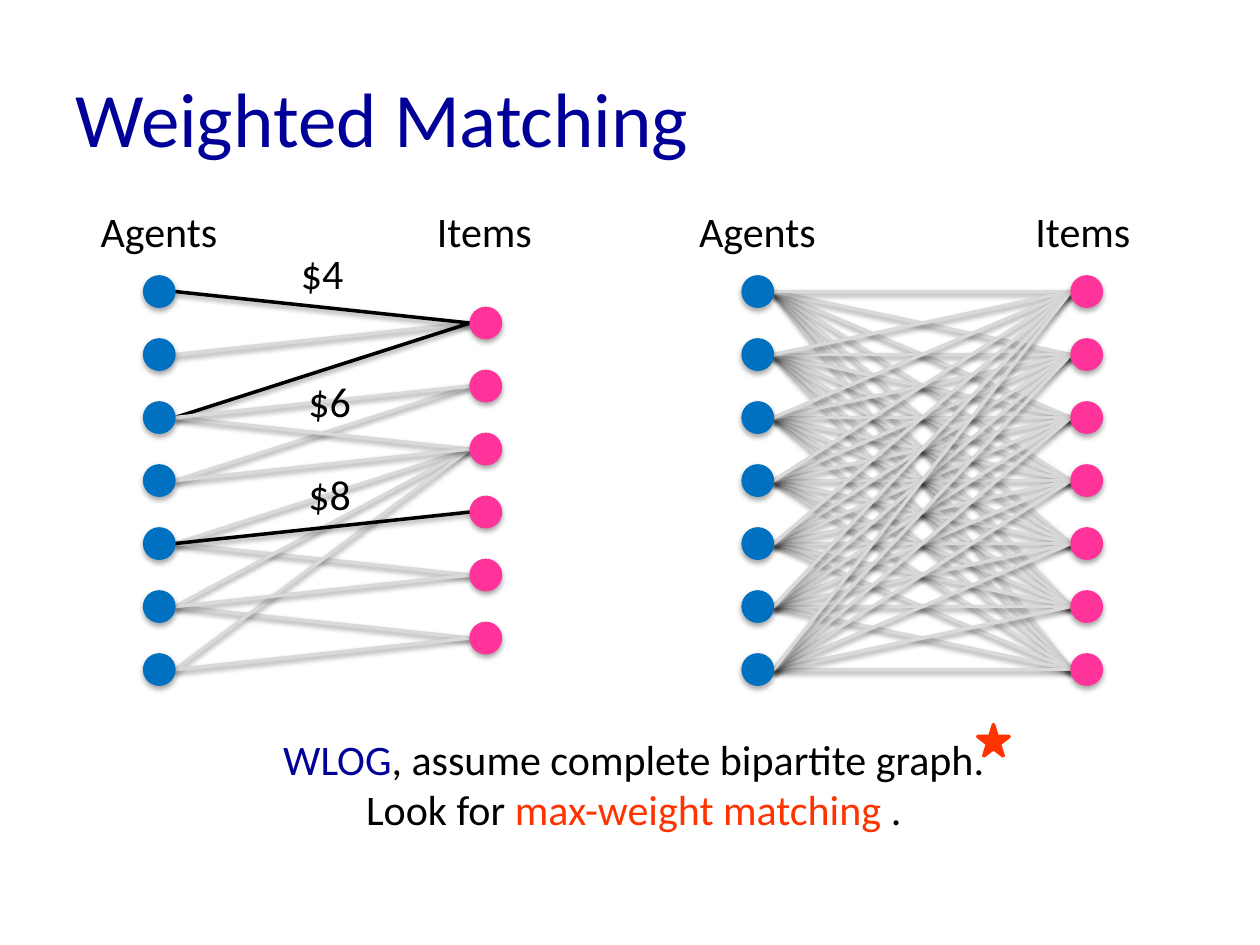
from pptx import Presentation
from pptx.dml.color import RGBColor
from pptx.enum.shapes import MSO_CONNECTOR, MSO_SHAPE
from pptx.enum.text import MSO_ANCHOR, MSO_AUTO_SIZE, PP_ALIGN
from pptx.oxml import parse_xml
from pptx.oxml.ns import nsdecls
from pptx.util import Pt

NAVY = RGBColor(0x00, 0x00, 0x99)
BLUE = RGBColor(0x00, 0x70, 0xC0)
PINK = RGBColor(0xFF, 0x33, 0x99)
RED = RGBColor(0xFF, 0x33, 0x00)
GRAY = RGBColor(0xD9, 0xD9, 0xD9)
BLACK = RGBColor(0x00, 0x00, 0x00)

NODE = 18   # node diameter
STEP = 36   # distance between nodes in a column
TOP = 157.6  # top of the first agent

prs = Presentation()
prs.slide_width, prs.slide_height = Pt(720), Pt(540)
s = prs.slides.add_slide(prs.slide_layouts[6])


def add_text(x, y, w, h, runs, size=24, align=PP_ALIGN.LEFT, wrap=False):
    tb = s.shapes.add_textbox(Pt(x), Pt(y), Pt(w), Pt(h))
    tf = tb.text_frame
    tf.word_wrap = wrap
    tf.auto_size = MSO_AUTO_SIZE.SHAPE_TO_FIT_TEXT
    p = tf.paragraphs[0]
    p.alignment = align
    p.font.name, p.font.size = "Calibri", Pt(size)
    for text, color in runs:
        r = p.add_run()
        r.text = text
        r.font.color.rgb = color
    return tf


def add_shadow(sp, distance, opacity):
    """Soft shadow straight below; call after the line is set."""
    sp._element.spPr.append(parse_xml(
        f'<a:effectLst {nsdecls("a")}><a:outerShdw blurRad="{Pt(3.1)}" '
        f'dist="{Pt(distance)}" dir="5400000" rotWithShape="0">'
        f'<a:srgbClr val="000000"><a:alpha val="{opacity * 1000}"/></a:srgbClr>'
        '</a:outerShdw></a:effectLst>'))


# Title
tf = add_text(36, 21.6, 648, 90, [("Weighted Matching", NAVY)], size=44, wrap=True)
tf.auto_size = MSO_AUTO_SIZE.NONE
tf.vertical_anchor = MSO_ANCHOR.MIDDLE

# Edges as (agent, item); the priced ones are black
sparse = [(1, 0), (2, 0), (4, 2), (5, 5), (3, 1), (4, 4), (5, 2), (6, 2), (2, 2),
          (0, 0), (3, 2), (5, 4), (6, 5), (4, 3), (2, 1)]
priced = [(0, 0), (2, 0), (4, 3)]
complete = [(agent, item) for item in reversed(range(7)) for agent in range(7)]

# Graphs: agent x, item x, top of items, item count, edges, black edges, header x
graphs = [
    (82, 268.6, TOP + STEP / 2, 6, sparse, priced, (50.4, 242.6)),
    (424, 612, TOP, 7, complete, [], (392.4, 584.6)),
]
for agent_x, item_x, item_top, n_items, edges, black, header_x in graphs:
    for agent, item in edges:
        ln = s.shapes.add_connector(
            MSO_CONNECTOR.STRAIGHT,
            Pt(agent_x + NODE), Pt(TOP + NODE / 2 + agent * STEP),
            Pt(item_x), Pt(item_top + NODE / 2 + item * STEP))
        ln.line.color.rgb = BLACK if (agent, item) in black else GRAY
        ln.line.width = Pt(2)
        add_shadow(ln, 1.6, 38)

    for x, top, count, color in [(agent_x, TOP, 7, BLUE),
                                 (item_x, item_top, n_items, PINK)]:
        for i in range(count):
            sp = s.shapes.add_shape(MSO_SHAPE.OVAL, Pt(x), Pt(top + i * STEP),
                                    Pt(NODE), Pt(NODE))
            sp.fill.solid()
            sp.fill.fore_color.rgb = color
            sp.line.color.rgb = color
            sp.line.width = Pt(0.75)
            add_shadow(sp, 1.8, 35)

    for x, w, header in zip(header_x, (82, 69), ("Agents", "Items")):
        add_text(x, 113.8, w, 36, [(header, BLACK)])

# Edge prices
for x, y, price in [(164.9, 138.2, "$4"), (169.2, 264.2, "$8"), (169.2, 211, "$6")]:
    add_text(x, y, 39, 36, [(price, BLACK)])

# Conclusion with star
add_text(144, 415.4, 436.3, 36,
         [("WLOG", NAVY), (", assume complete bipartite graph.", BLACK)],
         align=PP_ALIGN.CENTER, wrap=True)
star = s.shapes.add_shape(MSO_SHAPE.STAR_5_POINT, Pt(558.7), Pt(414), Pt(18), Pt(18))
star.shadow.inherit = False
star.fill.solid()
star.fill.fore_color.rgb = RED
star.line.color.rgb = RED
star.line.width = Pt(2)
add_text(144, 444.2, 436.3, 36,
         [("Look for ", BLACK), ("max-weight matching", RED), (" .", BLACK)],
         align=PP_ALIGN.CENTER, wrap=True)

prs.save("out.pptx")
